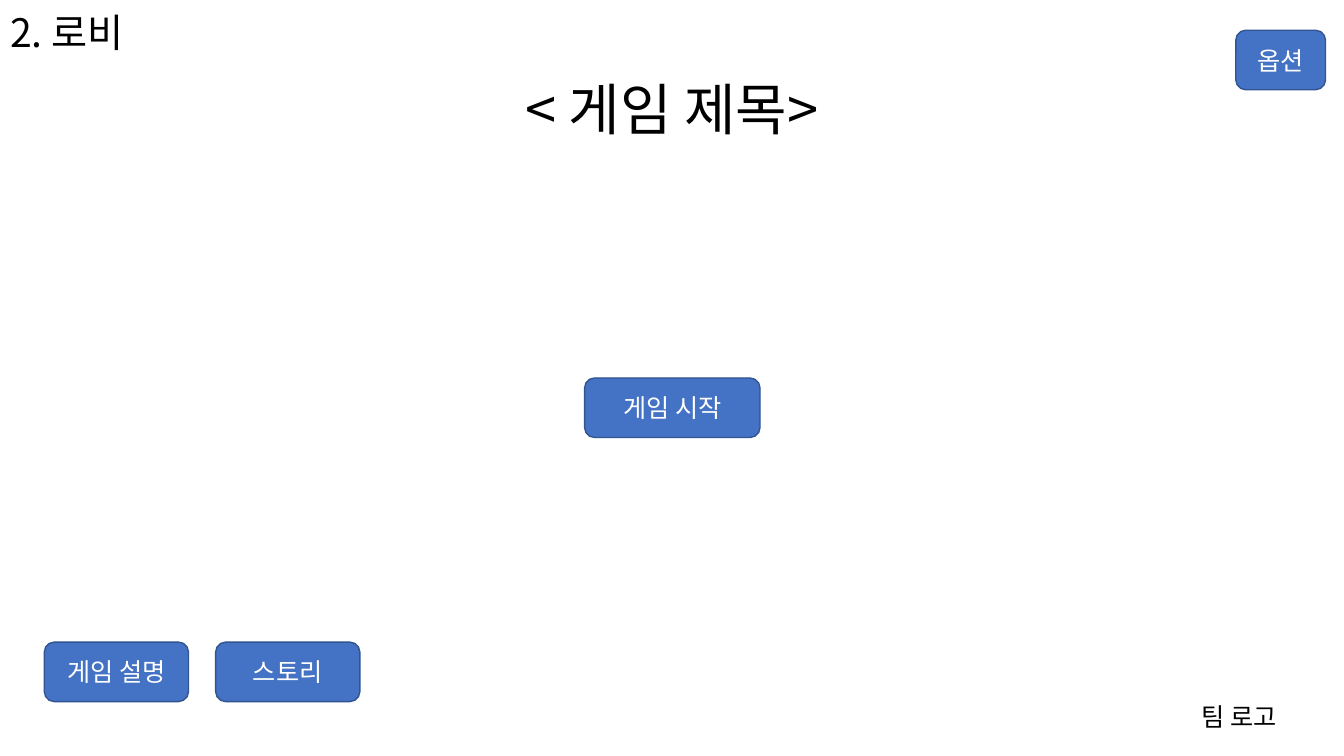
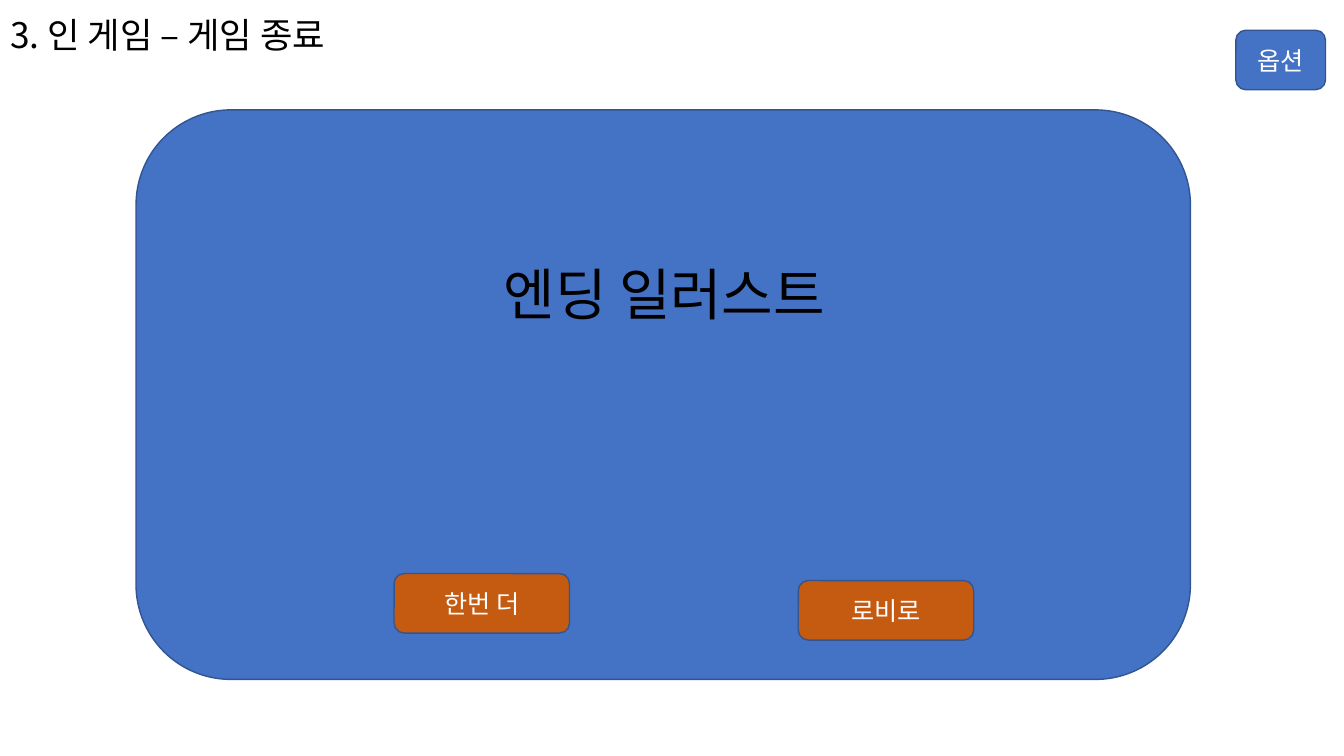
from pptx import Presentation, util as u
from pptx.dml.color import RGBColor
from pptx.enum import shapes, text
from pptx.oxml import ns
from lxml import etree

PX = 9144  # 100 px to the inch
FONT = "Noto Sans CJK KR"
BLUE, RUST, EDGE = "4472C4", "C55A11", "325491"
BLACK, WHITE = "000000", "FFFFFF"
MID, LEFT = text.PP_ALIGN.CENTER, text.PP_ALIGN.LEFT


def write(item, words, size, color, align, anchor):
    frame = item.text_frame
    frame.word_wrap = True
    frame.auto_size = text.MSO_AUTO_SIZE.NONE
    frame.vertical_anchor = anchor
    para = frame.paragraphs[0]
    para.alignment = align
    run = para.add_run()
    run.text = words
    run.font.size = u.Pt(size)
    run.font.name = FONT
    run.font.color.rgb = RGBColor.from_string(color)
    east = etree.SubElement(run.font._element, ns.qn("a:ea"))
    east.set("typeface", FONT)
    return para


def button(slide, box, fill, words=""):
    item = slide.shapes.add_shape(
        shapes.MSO_SHAPE.ROUNDED_RECTANGLE, *[n * PX for n in box])
    item.shadow.inherit = False
    item.fill.solid()
    item.fill.fore_color.rgb = RGBColor.from_string(fill)
    item.line.color.rgb = RGBColor.from_string(EDGE)
    item.line.width = u.Pt(1)
    if words:
        write(item, words, 18, WHITE, MID, text.MSO_ANCHOR.MIDDLE)


# Each screen: title, title size, buttons, labels
screens = [
    ("2. 로비", 28,
     [((580, 375, 174, 59), BLUE, "게임 시작"),
      ((44, 637, 143, 59), BLUE, "게임 설명"),
      ((214, 637, 143, 59), BLUE, "스토리")],
     [((0, 69, 1333, 77), "< 게임 제목>", 40, MID),
      ((1182, 691, 151, 40), "팀 로고", 18, LEFT)]),
    ("3. 인 게임 – 게임 종료", 25.2,
     [((135, 109, 1046, 565), BLUE, ""),
      ((792, 576, 174, 59), RUST, "로비로"),
      ((391, 569, 174, 59), RUST, "한번 더")],
     [((310, 253, 698, 77), "엔딩 일러스트", 40, MID)]),
]

deck = Presentation()
deck.slide_width, deck.slide_height = u.Inches(13.333), u.Inches(7.5)

for name, size, buttons, labels in screens:
    slide = deck.slides.add_slide(deck.slide_layouts[5])

    # Title
    title = slide.shapes.title
    title.left, title.top, title.width, title.height = 0, 0, 374 * PX, 61 * PX
    para = write(title, name, size, BLACK, LEFT, text.MSO_ANCHOR.BOTTOM)
    para.line_spacing = 0.9

    # Buttons, with the option button on every screen
    button(slide, (1226, 30, 89, 59), BLUE, "옵션")
    for box, fill, words in buttons:
        button(slide, box, fill, words)

    # Labels
    for box, words, pt, align in labels:
        label = slide.shapes.add_textbox(*[n * PX for n in box])
        write(label, words, pt, BLACK, align, text.MSO_ANCHOR.TOP)

deck.save("out.pptx")
